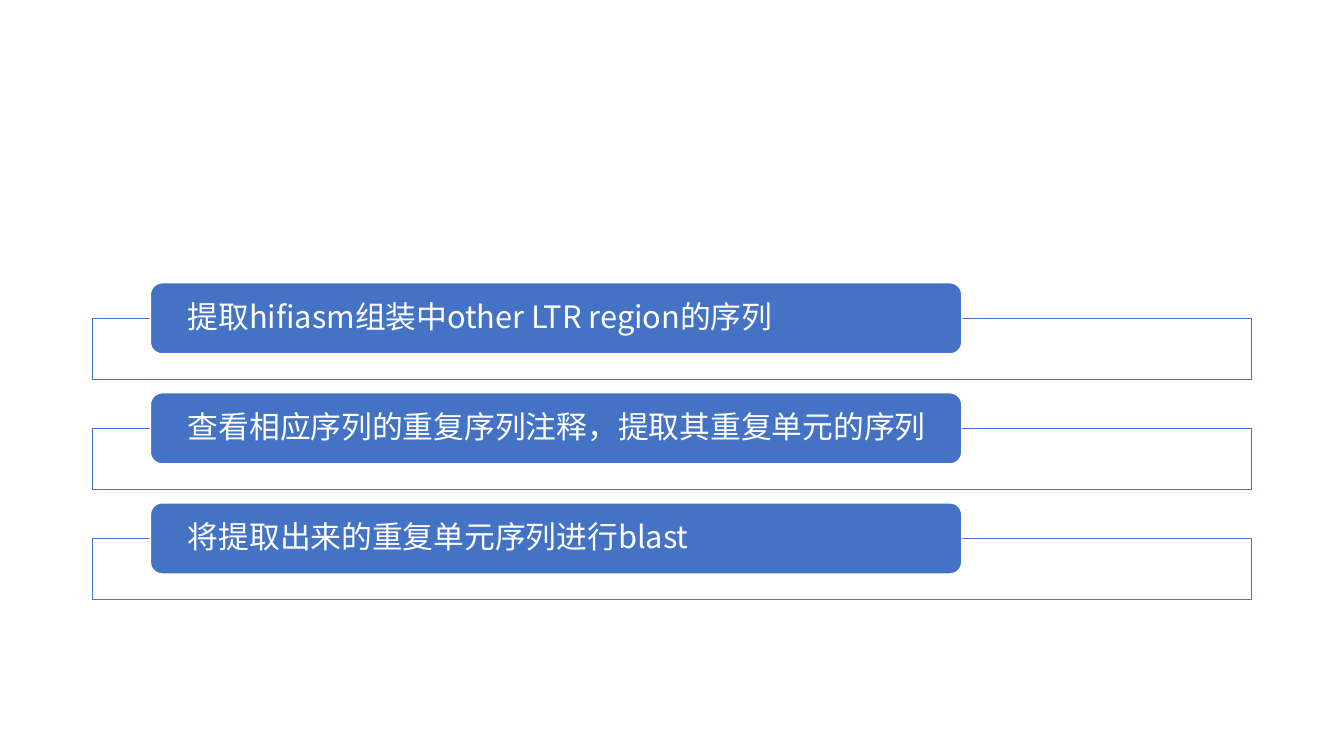
import dataclasses

import lxml.etree
import pptx
import pptx.dml.color
import pptx.enum.shapes
import pptx.enum.text
import pptx.oxml.ns
import pptx.util

Pt = pptx.util.Pt
SHAPES = pptx.enum.shapes.MSO_SHAPE


@dataclasses.dataclass(frozen=True)
class Theme:
    accent: str = "4472C4"
    paper: str = "FFFFFF"
    font: str = "Noto Sans CJK SC"
    step_size: float = 22
    line_width: float = 1


class StepPage:
    """Holds the theme and the current slide."""

    def __init__(self, deck, theme):
        self.theme = theme
        self.page = deck.slides.add_slide(deck.slide_layouts[6])

    def add_box(self, kind, left, top, width, height, fill, line):
        box = self.page.shapes.add_shape(
            kind, Pt(left), Pt(top), Pt(width), Pt(height))
        box.shadow.inherit = False
        box.fill.solid()
        box.fill.fore_color.rgb = pptx.dml.color.RGBColor.from_string(fill)
        box.line.color.rgb = pptx.dml.color.RGBColor.from_string(line)
        box.line.width = Pt(self.theme.line_width)
        return box

    def add_frame(self, left, top, width, height):
        frame = self.add_box(SHAPES.RECTANGLE, left, top, width, height,
                             self.theme.paper, self.theme.accent)
        # Slightly transparent fill
        color = frame.fill._xPr.find(".//" + pptx.oxml.ns.qn("a:srgbClr"))
        lxml.etree.SubElement(color, pptx.oxml.ns.qn("a:alpha"), val="90000")

    def add_label(self, text, left, top, width, height):
        label = self.add_box(SHAPES.ROUNDED_RECTANGLE, left, top, width, height,
                             self.theme.accent, self.theme.paper)
        frame_format = {
            "word_wrap": True,
            "vertical_anchor": pptx.enum.text.MSO_ANCHOR.MIDDLE,
            "margin_left": Pt(24.3), "margin_right": Pt(21.6),
            "margin_top": 0, "margin_bottom": 0,
        }
        for name, value in frame_format.items():
            setattr(label.text_frame, name, value)
        para = label.text_frame.paragraphs[0]
        para.alignment = pptx.enum.text.PP_ALIGN.LEFT
        para.line_spacing = 0.9
        span = para.add_run()
        span.text = text
        span_format = {"size": Pt(self.theme.step_size), "name": self.theme.font}
        for name, value in span_format.items():
            setattr(span.font, name, value)
        span.font.color.rgb = pptx.dml.color.RGBColor.from_string(self.theme.paper)
        # Same typeface for the Chinese characters
        lxml.etree.SubElement(span.font._element, pptx.oxml.ns.qn("a:ea"),
                              typeface=self.theme.font)


STEPS = [
    "提取hifiasm组装中other LTR region的序列",
    "查看相应序列的重复序列注释，提取其重复单元的序列",
    "将提取出来的重复单元序列进行blast",
]
FIRST_TOP, STEP_PITCH = 202, 78.6
LABEL_HEIGHT, FRAME_HEIGHT = 50.8, 43.8


def main():
    deck = pptx.Presentation()
    deck.slide_width, deck.slide_height = Pt(960), Pt(540)
    steps_page = StepPage(deck, Theme())

    # Each label sits with its middle on the top edge of its frame
    for index, text in enumerate(STEPS):
        top = FIRST_TOP + index * STEP_PITCH
        steps_page.add_frame(66, top + LABEL_HEIGHT / 2, 828, FRAME_HEIGHT)
        steps_page.add_label(text, 107.4, top, 579.6, LABEL_HEIGHT)

    deck.save("out.pptx")


if __name__ == "__main__":
    main()
